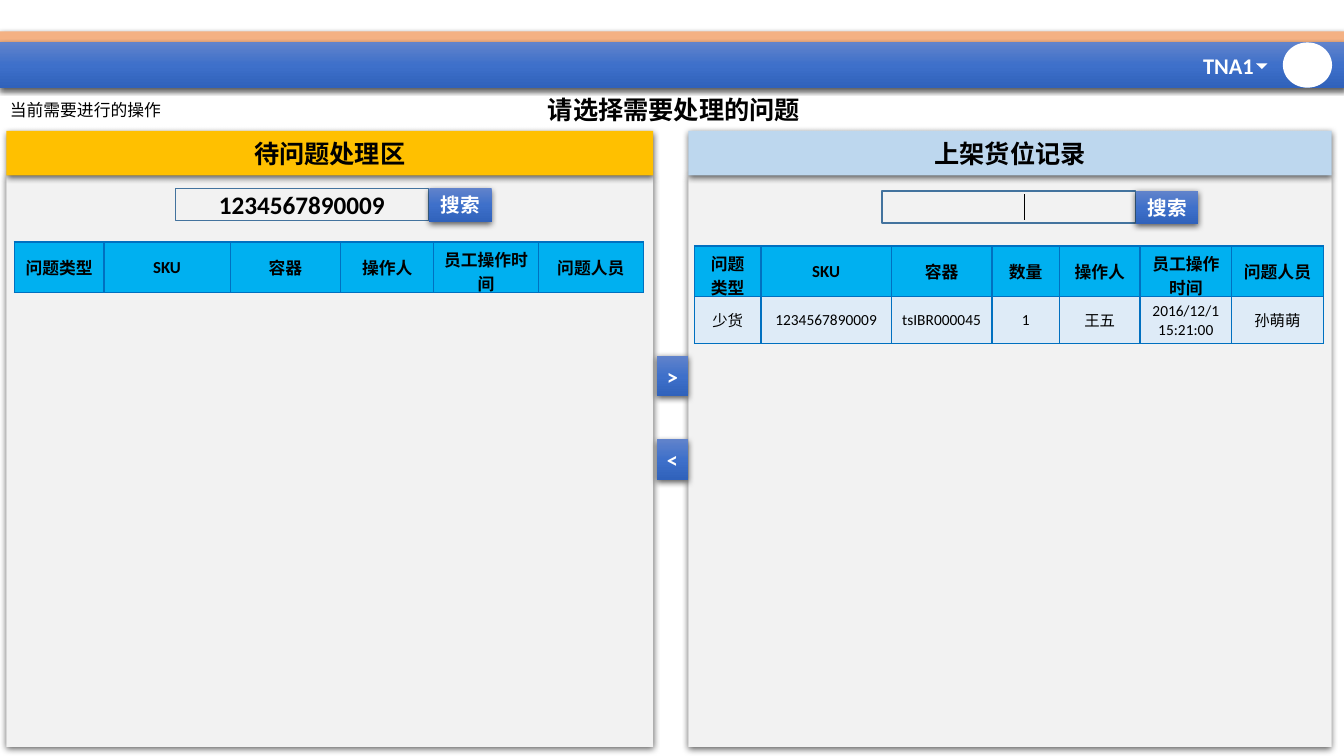
from copy import deepcopy
from dataclasses import dataclass

from lxml.etree import SubElement
from pptx import Presentation
from pptx.dml.color import RGBColor
from pptx.enum.shapes import MSO_CONNECTOR, MSO_SHAPE
from pptx.enum.text import MSO_ANCHOR, PP_ALIGN
from pptx.oxml.ns import qn
from pptx.util import Cm, Pt


@dataclass(frozen=True)
class Theme:
    font: str = "Calibri"
    black: str = "000000"
    white: str = "FFFFFF"
    accent_bar: str = "F4B183"
    blues: tuple = ("6183CB", "3E70CA", "3062BB")
    panel: str = "F2F2F2"
    pending: str = "FFC000"
    record: str = "BDD7EE"
    field_line: str = "43739E"
    grid: str = "0070C0"
    header_cell: str = "00B0F0"
    body_cell: str = "DEEBF7"
    heading: int = 18
    symbol: int = 16
    button: int = 14
    label: int = 12
    data: int = 11


THEME = Theme()
SLIDE_WIDTH, SLIDE_HEIGHT = 33.87, 19.05


def rgb(color):
    return RGBColor.from_string(color)


def write(frame, text, size, color=THEME.black, bold=True, align=PP_ALIGN.CENTER):
    """Fill a text frame, one paragraph per line of text."""
    for index, line in enumerate(text.split("\n")):
        paragraph = frame.add_paragraph() if index else frame.paragraphs[0]
        paragraph.alignment = align
        run = paragraph.add_run()
        run.text = line
        run.font.name = THEME.font
        run.font.size = Pt(size)
        run.font.bold = bold
        run.font.color.rgb = rgb(color)


def add_block(slide, box, fill=None, line=None, kind=MSO_SHAPE.RECTANGLE):
    """Add a shape; fill is a colour, a tuple of gradient colours or None."""
    block = slide.shapes.add_shape(kind, *map(Cm, box))
    block.shadow.inherit = False
    if fill is None:
        block.fill.background()
    elif isinstance(fill, tuple):
        set_gradient(block, fill)
    else:
        block.fill.solid()
        block.fill.fore_color.rgb = rgb(fill)
    if line:
        block.line.color.rgb = rgb(line)
        block.line.width = Pt(1)
    else:
        block.line.fill.background()
    block.text_frame.word_wrap = True
    block.text_frame.vertical_anchor = MSO_ANCHOR.MIDDLE
    return block


def set_gradient(block, colors):
    """Blend three colours evenly from top to bottom."""
    block.fill.gradient()
    block.fill.gradient_angle = 270
    stops = block._element.spPr.find(qn("a:gradFill")).find(qn("a:gsLst"))
    stops.insert(1, deepcopy(stops[0]))
    for index, stop in enumerate(block.fill.gradient_stops):
        stop.position = index / (len(colors) - 1)
        stop.color.rgb = rgb(colors[index])


def add_raised(slide, box, fill):
    """Add a rectangle with a soft shadow below it."""
    block = add_block(slide, box, fill)
    effects = block._element.spPr.find(qn("a:effectLst"))
    shadow = SubElement(effects, qn("a:outerShdw"), blurRad=str(Pt(4.5)),
                        dist=str(Pt(1.5)), dir="5400000", algn="ctr", rotWithShape="0")
    color = SubElement(shadow, qn("a:srgbClr"), val=THEME.black)
    SubElement(color, qn("a:alpha"), val="63000")
    return block


def add_button(slide, box, text, size):
    button = add_raised(slide, box, THEME.blues)
    write(button.text_frame, text, size, THEME.white)


def add_label(slide, box, text, size, wrap=True, **style):
    label = slide.shapes.add_textbox(*map(Cm, box))
    label.text_frame.word_wrap = wrap
    label.text_frame.vertical_anchor = MSO_ANCHOR.MIDDLE
    write(label.text_frame, text, size, **style)


def add_top_bar(slide):
    add_raised(slide, (0, 0.79, SLIDE_WIDTH, 0.28), THEME.accent_bar)
    add_raised(slide, (0, 1.07, SLIDE_WIDTH, 1.14), THEME.blues)
    add_block(slide, (32.33, 1.07, 1.24, 1.14), THEME.white, kind=MSO_SHAPE.OVAL)
    add_label(slide, (30.07, 1.17, 1.8, 0.94), "TNA1", THEME.symbol, wrap=False,
              color=THEME.white, align=PP_ALIGN.LEFT)
    menu_arrow = add_block(slide, (31.7, 1.5, 0.2, 0.2), THEME.white,
                           kind=MSO_SHAPE.RIGHT_TRIANGLE)
    menu_arrow.rotation = 314.5


def add_panel(slide, left, width, title, color):
    add_raised(slide, (left, 4.42, width, 14.4), THEME.panel)
    heading = add_raised(slide, (left, 3.3, width, 1.12), color)
    write(heading.text_frame, title, THEME.heading)


def add_search(slide, left, top, query=""):
    """Add a search field with its button; an empty field shows a text cursor."""
    field = add_block(slide, (left, top, 6.38, 0.81), line=THEME.field_line)
    if query:
        write(field.text_frame, query, THEME.heading)
    else:
        add_cursor(slide, left + 3.58, top + 0.08, 0.66)
    add_button(slide, (left + 6.4, top, 1.57, 0.84), "搜索", THEME.button)


def add_cursor(slide, x, top, height):
    cursor = slide.shapes.add_connector(
        MSO_CONNECTOR.STRAIGHT, Cm(x), Cm(top), Cm(x), Cm(top + height))
    cursor.line.color.rgb = rgb(THEME.black)
    cursor.line.width = Pt(0.75)
    SubElement(cursor._element.spPr, qn("a:effectLst"))


def set_borders(cell):
    properties = cell._tc.get_or_add_tcPr()
    for position, side in enumerate(("lnL", "lnR", "lnT", "lnB")):
        border = SubElement(properties, qn(f"a:{side}"), w=str(Pt(1)))
        paint = SubElement(border, qn("a:solidFill"))
        SubElement(paint, qn("a:srgbClr"), val=THEME.grid)
        properties.insert(position, border)


def add_records(slide, left, top, widths, heights, rows):
    """Add a table whose first row is the header."""
    frame = slide.shapes.add_table(len(rows), len(widths), Cm(left), Cm(top),
                                   Cm(sum(widths)), Cm(sum(heights)))
    table = frame.table
    for column, width in zip(table.columns, widths):
        column.width = Cm(width)
    for row_index, (row, height) in enumerate(zip(table.rows, heights)):
        row.height = Cm(height)
        is_header = row_index == 0
        for cell, text in zip(row.cells, rows[row_index]):
            cell.vertical_anchor = MSO_ANCHOR.MIDDLE
            cell.fill.solid()
            cell.fill.fore_color.rgb = rgb(
                THEME.header_cell if is_header else THEME.body_cell)
            set_borders(cell)
            write(cell.text_frame, text, THEME.label if is_header else THEME.data,
                  bold=is_header)


def main():
    deck = Presentation()
    deck.slide_width, deck.slide_height = Cm(SLIDE_WIDTH), Cm(SLIDE_HEIGHT)
    slide = deck.slides.add_slide(deck.slide_layouts[6])

    add_top_bar(slide)
    add_panel(slide, 0.16, 16.3, "待问题处理区", THEME.pending)
    add_panel(slide, 17.35, 16.21, "上架货位记录", THEME.record)

    add_records(slide, 0.36, 6.1, (2.26, 3.18, 2.79, 2.34, 2.64, 2.64), (1.27,),
                [("问题类型", "SKU", "容器", "操作人", "员工操作时间", "问题人员")])
    add_search(slide, 4.42, 4.75, "1234567890009")

    for top, symbol in ((8.97, ">"), (11.07, "<")):
        add_button(slide, (16.55, top, 0.79, 1.02), symbol, THEME.symbol)

    add_search(slide, 22.23, 4.81)
    add_label(slide, (0, 2.26, 4.57, 1.02), "当前需要进行的操作", THEME.label,
              bold=False, align=PP_ALIGN.LEFT)
    add_label(slide, (0.05, 2.26, SLIDE_WIDTH, 1.02), "请选择需要处理的问题", THEME.heading)
    add_records(slide, 17.5, 6.2, (1.68, 3.28, 2.54, 1.7, 2.03, 2.31, 2.31), (1.27, 1.18),
                [("问题类型", "SKU", "容器", "数量", "操作人", "员工操作时间", "问题人员"),
                 ("少货", "1234567890009", "tsIBR000045", "1", "王五",
                  "2016/12/1\n15:21:00", "孙萌萌")])

    deck.save("out.pptx")


if __name__ == "__main__":
    main()
